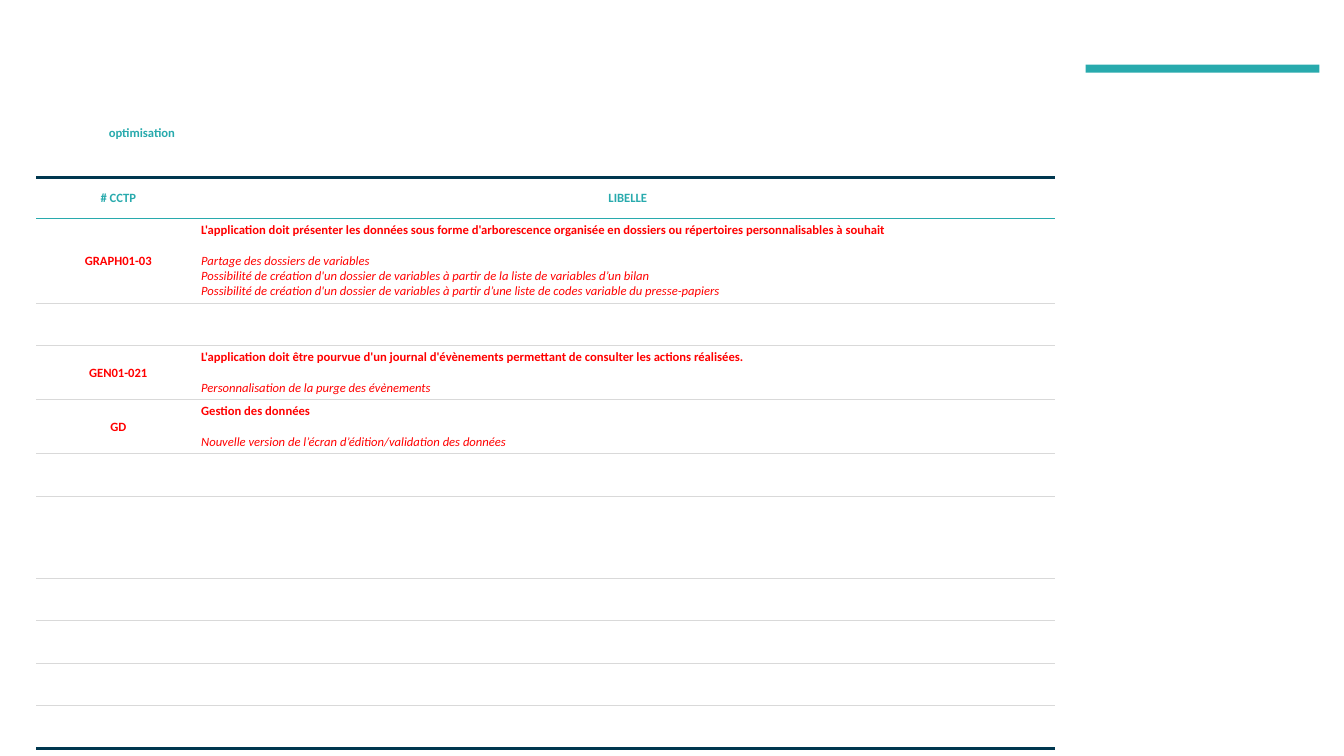
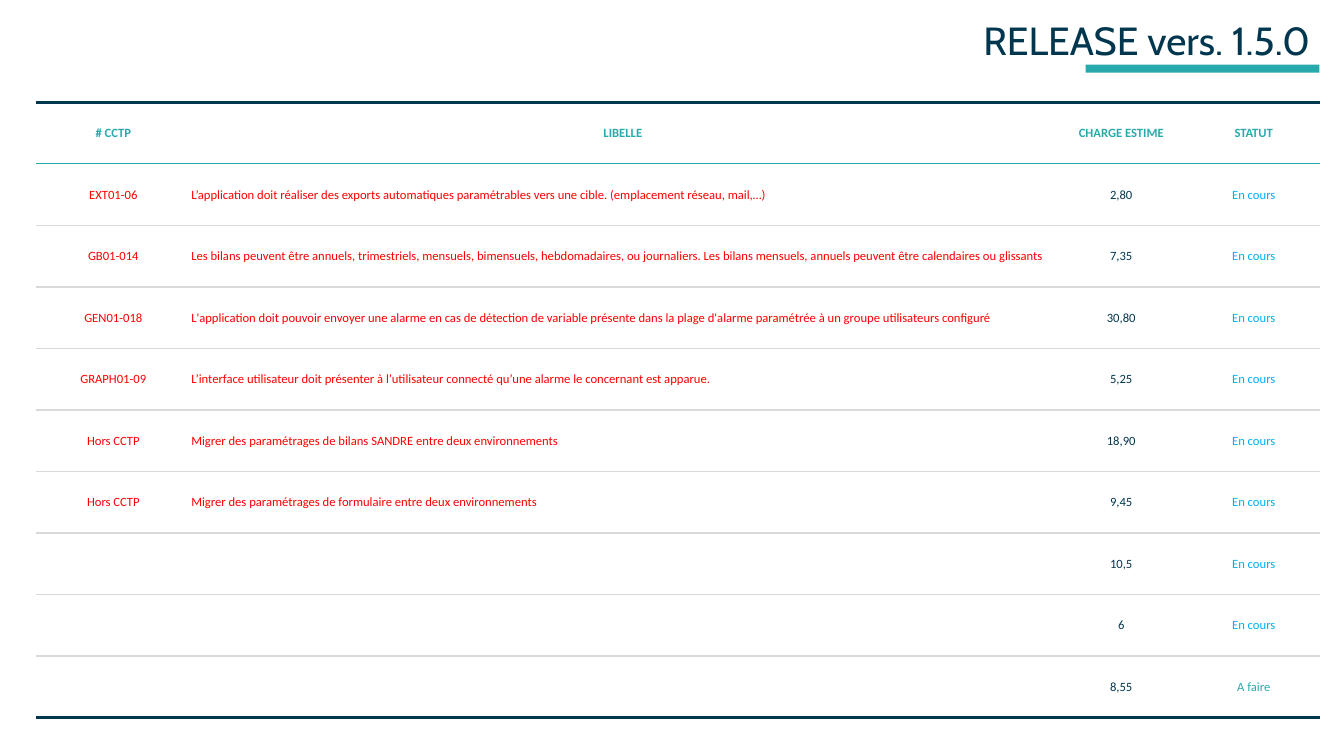
from dataclasses import dataclass, replace

from lxml import etree
from pptx import Presentation
from pptx import util as u
from pptx.dml import color as dml
from pptx.enum import shapes, text
from pptx.oxml import ns

HUES = {
    "navy": "00374F",
    "teal": "28AAAD",
    "red": "FF0000",
    "sky": "00B0F0",
    "gray": "D9D9D9",
    "white": "FFFFFF",
}
LEFT = 0.91
BODY = "Calibri"
HEAD = "Cabin"


@dataclass(frozen=True)
class Item:
    words: str
    hue: str
    bold: bool = False
    slant: bool = False
    mid: bool = True
    size: float = 9
    gap: float = 0


@dataclass(frozen=True)
class Edge:
    hue: str
    width: float


@dataclass(frozen=True)
class Grid:
    top: float
    cols: list[float]
    rows: list[float]
    cells: list[list[tuple[Item, ...]]]
    ruled: bool = True


def rgb(hue: str) -> dml.RGBColor:
    return dml.RGBColor.from_string(HUES[hue])


def write(para, item: Item, font: str = BODY) -> None:
    run = para.add_run()
    run.text = item.words
    run.font.name = font
    run.font.size = u.Pt(item.size)
    run.font.bold = item.bold
    run.font.italic = item.slant
    run.font.color.rgb = rgb(item.hue)


def border(cell, side: str, edge: Edge | None) -> None:
    line = etree.SubElement(cell._tc.get_or_add_tcPr(), ns.qn(f"a:ln{side}"))
    if edge is None:
        etree.SubElement(line, ns.qn("a:noFill"))
        return
    line.set("w", str(u.Pt(edge.width)))
    fill = etree.SubElement(line, ns.qn("a:solidFill"))
    etree.SubElement(fill, ns.qn("a:srgbClr")).set("val", HUES[edge.hue])


def edge_at(row: int, count: int) -> Edge:
    if row in (0, count):
        return Edge("navy", 2.25)
    return Edge("teal" if row == 1 else "gray", 1)


def fill_cell(cell, items: tuple[Item, ...]) -> None:
    if not items:
        return
    cell.vertical_anchor = text.MSO_ANCHOR.MIDDLE
    cell.margin_left = cell.margin_right = u.Cm(0.02)
    tall = len(items) > 1
    cell.margin_top = u.Cm(0.1 if tall else 0.02)
    cell.margin_bottom = u.Cm(0.1 if tall else 0)
    for i, item in enumerate(items):
        frame = cell.text_frame
        para = frame.add_paragraph() if i else frame.paragraphs[0]
        para.alignment = text.PP_ALIGN.CENTER if item.mid else text.PP_ALIGN.LEFT
        para.space_before = u.Pt(item.gap)
        write(para, item)


def draw_grid(slide, grid: Grid) -> None:
    count = len(grid.rows)
    table = slide.shapes.add_table(
        count, len(grid.cols), u.Cm(LEFT), u.Cm(grid.top),
        u.Cm(sum(grid.cols)), u.Cm(sum(grid.rows)),
    ).table
    table.first_row = table.horz_banding = False
    for col, width in zip(table.columns, grid.cols):
        col.width = u.Cm(width)
    for r, (height, line) in enumerate(zip(grid.rows, grid.cells)):
        table.rows[r].height = u.Cm(height)
        for c, items in enumerate(line):
            cell = table.cell(r, c)
            border(cell, "L", None)
            border(cell, "R", None)
            border(cell, "T", edge_at(r, count) if grid.ruled else None)
            border(cell, "B", edge_at(r + 1, count) if grid.ruled else None)
            if grid.ruled:
                cell.fill.solid()
                cell.fill.fore_color.rgb = rgb("white")
            else:
                cell.fill.background()
            fill_cell(cell, items)


def draw_bar(slide) -> None:
    bar = slide.shapes.add_shape(
        shapes.MSO_SHAPE.RECTANGLE, u.Cm(27.36), u.Cm(1.63), u.Cm(5.89), u.Cm(0.2)
    )
    bar.shadow.inherit = False
    bar.fill.solid()
    bar.fill.fore_color.rgb = rgb("teal")
    bar.line.fill.background()


def draw_title(slide, words: str) -> None:
    title = slide.shapes.title
    title.left, title.top = u.Cm(6.45), u.Cm(0)
    title.width, title.height = u.Cm(26.82), u.Cm(1.73)
    frame = title.text_frame
    frame.word_wrap = True
    frame.auto_size = text.MSO_AUTO_SIZE.NONE
    frame.vertical_anchor = text.MSO_ANCHOR.BOTTOM
    para = frame.paragraphs[0]
    para.alignment = text.PP_ALIGN.RIGHT
    para.line_spacing = 0.9
    write(para, Item(words, "navy", size=28), HEAD)


def add_page(deck, grids: list[Grid], title: str = "") -> None:
    slide = deck.slides.add_slide(deck.slide_layouts[5 if title else 6])
    draw_bar(slide)
    if title:
        draw_title(slide, title)
    for grid in grids:
        draw_grid(slide, grid)


def heads(*names: str) -> list[tuple[Item, ...]]:
    return [(Item(name, "teal", bold=True),) for name in names]


def need(code: str, lead: str, *notes: str) -> list[tuple[Item, ...]]:
    items = [Item(note, "red", slant=True, mid=False) for note in notes]
    items[0] = replace(items[0], gap=11)
    first = Item(lead, "red", bold=True, mid=False)
    return [(Item(code, "red", bold=True),), (first, *items)]


def task(code: str, label: str, load: str, state: str) -> list[tuple[Item, ...]]:
    hue = "sky" if state == "En cours" else "teal"
    items = [
        Item(code, "red"),
        Item(label, "red", mid=False),
        Item(load, "navy"),
        Item(state, hue),
    ]
    return [(item,) if item.words else () for item in items]


NEEDS = [
    heads("# CCTP", "LIBELLE"),
    need(
        "GRAPH01-03",
        "L'application doit présenter les données sous forme d'arborescence "
        "organisée en dossiers ou répertoires personnalisables à souhait",
        "Partage des dossiers de variables",
        "Possibilité de création d'un dossier de variables à partir de la liste "
        "de variables d’un bilan",
        "Possibilité de création d'un dossier de variables à partir d’une liste "
        "de codes variable du presse-papiers",
    ),
    [(), ()],
    need(
        "GEN01-021",
        "L'application doit être pourvue d'un journal d'évènements permettant "
        "de consulter les actions réalisées.",
        "Personnalisation de la purge des évènements",
    ),
    need(
        "GD",
        "Gestion des données",
        "Nouvelle version de l’écran d’édition/validation des données",
    ),
    *[[(), ()] for _ in range(6)],
]

TASKS = [
    ("EXT01-06",
     "L’application doit réaliser des exports automatiques paramétrables vers "
     "une cible. (emplacement réseau, mail,…)", "2,80", "En cours"),
    ("GB01-014",
     "Les bilans peuvent être annuels, trimestriels, mensuels, bimensuels, "
     "hebdomadaires, ou journaliers. Les bilans mensuels, annuels peuvent être "
     "calendaires ou glissants", "7,35", "En cours"),
    ("GEN01-018",
     "L'application doit pouvoir envoyer une alarme en cas de détection de "
     "variable présente dans la plage d'alarme paramétrée à un groupe "
     "utilisateurs configuré", "30,80", "En cours"),
    ("GRAPH01-09",
     "L’interface utilisateur doit présenter à l’utilisateur connecté qu’une "
     "alarme le concernant est apparue.", "5,25", "En cours"),
    ("Hors CCTP",
     "Migrer des paramétrages de bilans SANDRE entre deux environnements",
     "18,90", "En cours"),
    ("Hors CCTP",
     "Migrer des paramétrages de formulaire entre deux environnements",
     "9,45", "En cours"),
    ("", "", "10,5", "En cours"),
    ("", "", "6", "En cours"),
    ("", "", "8,55", "A faire"),
]


def main() -> None:
    deck = Presentation()
    deck.slide_width, deck.slide_height = u.Cm(33.87), u.Cm(19.05)
    rows = [1.04, 2.1, 1.07, 1.35, 1.35, 1.07, 2.07] + [1.07] * 4
    label = [heads("optimisation") + [()]]
    add_page(deck, [
        Grid(4.47, [4.14, 21.54], rows, NEEDS),
        Grid(2.82, [5.33] * 2, [1.04], label, ruled=False),
    ])
    plan = [heads("# CCTP", "LIBELLE", "CHARGE ESTIME", "STATUT")]
    plan += [task(*entry) for entry in TASKS]
    add_page(
        deck,
        [Grid(2.58, [3.89, 21.79, 3.33, 3.35], [1.55] * len(plan), plan)],
        "RELEASE vers. 1.5.0",
    )
    deck.save("out.pptx")


if __name__ == "__main__":
    main()
